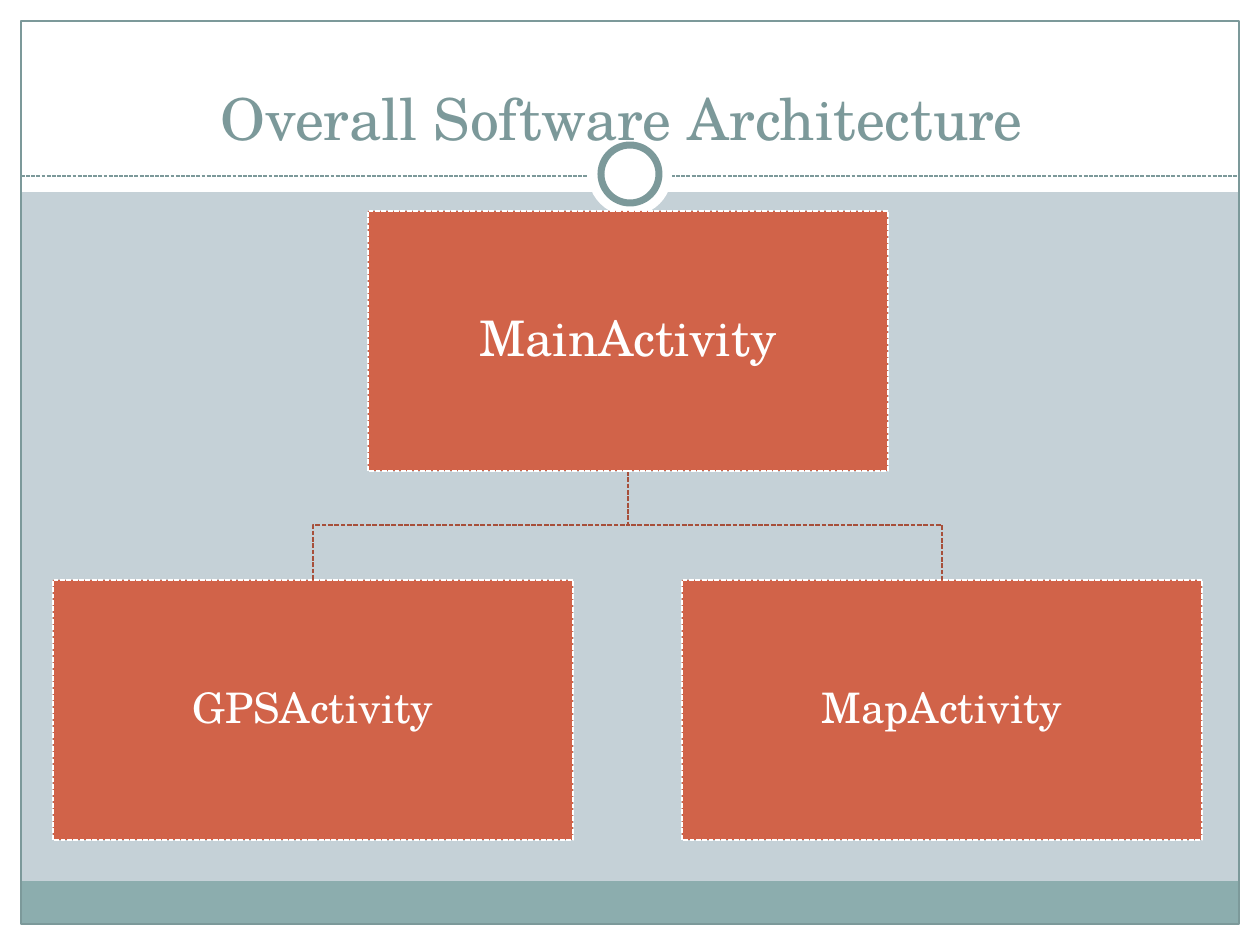
from dataclasses import dataclass

from lxml.etree import SubElement
from pptx import Presentation
from pptx.dml.color import RGBColor
from pptx.enum.dml import MSO_LINE
from pptx.enum.shapes import MSO_CONNECTOR, MSO_SHAPE as Preset
from pptx.enum.text import MSO_ANCHOR as Anchor, PP_ALIGN as Align
from pptx.oxml.ns import qn
from pptx.slide import Slide
from pptx.util import Pt

PX = 914400 / 126
WIDTH, HEIGHT = 1260, 945
WHITE, TEAL, BAND = "FFFFFF", "7C999A", "8CADAE"
BACKDROP, ORANGE, RUST = "C5D1D7", "D16349", "A74F3A"


def px(length):
    return round(length * PX)


def color(code):
    return RGBColor.from_string(code)


@dataclass
class Painter:
    slide: Slide
    font: str = "TeX Gyre Schola"

    def background(self, code):
        fill = self.slide.background.fill
        fill.solid()
        fill.fore_color.rgb = color(code)

    def stroke(self, line, code, width, dashed=False):
        line.color.rgb = color(code)
        line.width = Pt(width)
        if dashed:
            line.dash_style = MSO_LINE.SQUARE_DOT

    def shape(self, x, y, w, h, fill=None, outline=None, preset=Preset.RECTANGLE):
        item = self.slide.shapes.add_shape(preset, px(x), px(y), px(w), px(h))
        item.shadow.inherit = False
        if fill:
            item.fill.solid()
            item.fill.fore_color.rgb = color(fill)
        else:
            item.fill.background()
        if outline:
            self.stroke(item.line, *outline)
        else:
            item.line.fill.background()
        return item

    def label(self, frame, words, size, code, anchor):
        frame.word_wrap = True
        frame.vertical_anchor = anchor
        frame.text = words
        paragraph = frame.paragraphs[0]
        paragraph.alignment = Align.CENTER
        font = paragraph.runs[0].font
        font.name = self.font
        font.size = Pt(size)
        font.color.rgb = color(code)
        return paragraph

    def title(self, x, y, w, h, words):
        box = self.slide.shapes.add_textbox(px(x), px(y), px(w), px(h))
        self.label(box.text_frame, words, 33, TEAL, Anchor.BOTTOM)

    def activity(self, x, y, w, h, words, size):
        box = self.shape(x, y, w, h, ORANGE, (WHITE, 0.9, True))
        frame = box.text_frame
        frame.margin_left = frame.margin_right = px(2)
        frame.margin_top = frame.margin_bottom = px(2)
        self.label(frame, words, size, WHITE, Anchor.MIDDLE).line_spacing = 0.9

    def rule(self, x1, y1, x2, y2):
        rule = self.slide.shapes.add_connector(
            MSO_CONNECTOR.STRAIGHT, px(x1), px(y1), px(x2), px(y2))
        self.stroke(rule.line, TEAL, 0.75, True)
        SubElement(rule._element.spPr, qn("a:effectLst"))

    def branch(self, start, *bends):
        builder = self.slide.shapes.build_freeform(*start, scale=PX)
        builder.add_line_segments(bends, close=False)
        branch = builder.convert_to_shape()
        branch.shadow.inherit = False
        branch.fill.background()
        self.stroke(branch.line, RUST, 0.9, True)


def main():
    deck = Presentation()
    deck.slide_width, deck.slide_height = px(WIDTH), px(HEIGHT)
    painter = Painter(deck.slides.add_slide(deck.slide_layouts[6]))
    painter.background(BACKDROP)

    margin = 21
    inner_w, inner_h = WIDTH - 2 * margin, HEIGHT - 2 * margin
    for edge in ((0, HEIGHT - margin, WIDTH, margin), (0, 0, WIDTH, 192),
                 (0, 0, margin, HEIGHT), (WIDTH - margin, 0, margin, HEIGHT)):
        painter.shape(*edge, WHITE)
    painter.shape(margin, 881, inner_w, 43, BAND)
    painter.shape(margin, margin, inner_w, inner_h, outline=(TEAL, 0.75))
    painter.rule(margin, 176, WIDTH - margin, 176)
    for diameter, outline in ((84, None), (58, (TEAL, 4))):
        painter.shape((WIDTH - diameter) // 2, 174 - diameter // 2,
                      diameter, diameter, WHITE, outline, Preset.OVAL)

    painter.title(63, 0, 1134, 158, "Overall Software Architecture ")

    box_w, box_h = 520, 260
    parent_x, parent_y, child_y = 368, 211, 580
    children = {"GPSActivity": 53, "MapActivity": 682}
    parent_mid, parent_bottom = parent_x + box_w // 2, parent_y + box_h
    bend_y = (parent_bottom + child_y) // 2
    for child_x in children.values():
        child_mid = child_x + box_w // 2
        painter.branch((parent_mid, parent_bottom), (parent_mid, bend_y),
                       (child_mid, bend_y), (child_mid, child_y))
    painter.activity(parent_x, parent_y, box_w, box_h, "MainActivity", 28)
    for name, child_x in children.items():
        painter.activity(child_x, child_y, box_w, box_h, name, 24)

    deck.save("out.pptx")


if __name__ == "__main__":
    main()
